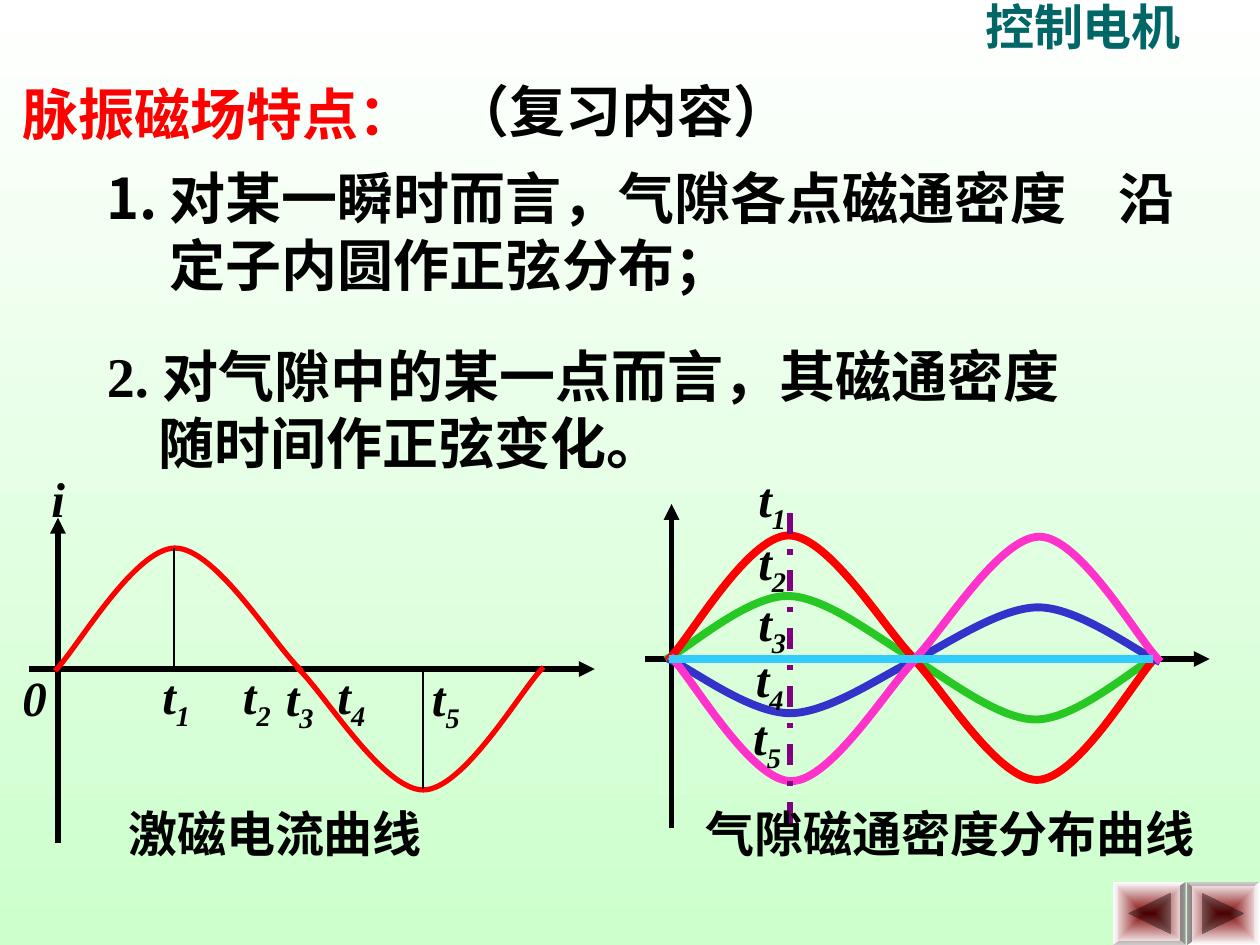
from lxml import etree
from pptx import Presentation
from pptx.dml.color import RGBColor
from pptx.enum.dml import MSO_LINE
from pptx.enum.shapes import MSO_CONNECTOR
from pptx.oxml import parse_xml
from pptx.oxml.ns import qn
from pptx.util import Inches, Pt

STRAIGHT = MSO_CONNECTOR.STRAIGHT
DASH_DOT = MSO_LINE.DASH_DOT
FONT = "Times New Roman"
BLACK, RED, TEAL = "000000", "FF0000", "006666"

HEADINGS = [
    ("控制电机", 7.72, -0.08, 1.92, 0.57, 28, TEAL),
    ("脉振磁场特点：", 0.08, 0.58, 4.05, 0.64, 32, RED),
    ("（复习内容）", 3.5, 0.56, 3.42, 0.64, 32, BLACK),
    ("激磁电流曲线", 0.92, 6.33, 2.83, 0.57, 28, BLACK),
    ("气隙磁通密度分布曲线", 5.5, 6.33, 4.25, 0.57, 28, BLACK),
]
FIRST_POINT = ["对某一瞬时而言，气隙各点磁通密度", "沿定子内圆作正弦分布；"]
SECOND_POINT = ["2. 对气隙中的某一点而言，其磁通密度", "随时间作正弦变化。"]

AXIS_NAMES = [("i", "", 0.31, 3.67, 0.61), ("0", "", 0.08, 5.25, 0.47)]
CURRENT_TIMES = [("t", "1", 1.19, 5.23, 0.58), ("t", "2", 1.83, 5.23, 0.58),
                 ("t", "3", 2.17, 5.25, 0.58), ("t", "4", 2.58, 5.23, 0.58),
                 ("t", "5", 3.33, 5.25, 0.58)]
FLUX_TIMES_BEHIND = [("t", "1", 5.92, 3.67, 0.58), ("t", "2", 5.92, 4.17, 0.5)]
FLUX_TIMES_FRONT = [("t", "3", 5.92, 4.65, 0.5), ("t", "4", 5.9, 5.1, 0.5),
                    ("t", "5", 5.88, 5.56, 0.5)]

AXES = [(0.25, 5.31, 4.72, 5.31), (0.46, 6.67, 0.46, 4.11),
        (5.14, 5.23, 9.6, 5.23), (5.33, 6.55, 5.33, 4)]
PEAK_LINES = [(3.36, 6.26, 3.36, 5.32), (1.38, 5.3, 1.38, 4.35)]
CURRENT_CURVE = (0.45, 5.31, 0.96, RED, 3)
FLUX_CURVES = [
    (5.31, 5.22, 0.49, "28C824", 4.5),
    (5.32, 5.22, 0.97, RED, 4.5),
    (5.33, 5.24, -0.42, "3333CC", 4.5),
    (5.34, 5.23, -0.97, "FF33CC", 4.5),
]
HALF_WAVE = [(0, 0), (0.16, 0.17), (0.62, 1), (0.94, 1), (1.26, 1), (1.72, 0.21), (1.93, 0)]
WAVE_SPAN = 3.85

BUTTONS = [(8.83, 0), (9.42, 180)]
OUTER = [(0, 0), (0.58, 0), (0.58, 0.5), (0, 0.5)]
INNER = [(0.04, 0.03), (0.54, 0.03), (0.54, 0.47), (0.04, 0.47)]
ARROW = [(0.13, 0.25), (0.46, 0.09), (0.46, 0.41)]
SIDE_SHADES = ["lightenLess", "darken", "darkenLess", "lighten"]


def rgb(value):
    return RGBColor.from_string(value)


def set_gradient(fill, first, last):
    fill.gradient()
    for stop, color in zip(fill.gradient_stops, (first, last)):
        stop.color.rgb = rgb(color)


def add_box(left, top, width, height):
    frame = slide.shapes.add_textbox(
        Inches(left), Inches(top), Inches(width), Inches(height)).text_frame
    frame.word_wrap = True
    return frame.paragraphs[0]


def add_run(paragraph, text, size, color=BLACK, italic=False, **attributes):
    run = paragraph.add_run()
    run.text = text
    font = run.font
    font.name, font.size, font.bold = FONT, Pt(size), True
    font.color.rgb = rgb(color)
    if italic:
        font.italic = True
    for name, value in attributes.items():
        run._r.get_or_add_rPr().set(name, value)


def set_hanging(paragraph, indent):
    properties = paragraph._p.get_or_add_pPr()
    properties.set("marL", str(Inches(indent)))
    properties.set("indent", str(-Inches(indent)))
    return properties


def add_labels(labels):
    for letter, index, left, top, width in labels:
        paragraph = add_box(left, top, width, 0.63 if index else 0.57)
        add_run(paragraph, letter, 28, italic=True)
        if index:
            add_run(paragraph, index, 28, italic=True, baseline="-25000")


def set_line(line, color, width, cap=None):
    line.color.rgb = rgb(color)
    line.width = Pt(width)
    if cap:
        line._get_or_add_ln().set("cap", cap)


def add_line(ends, color, width, arrow=False, dash=None):
    connector = slide.shapes.add_connector(STRAIGHT, *[Inches(v) for v in ends])
    set_line(connector.line, color, width, "sq" if arrow else None)
    if dash:
        connector.line.dash_style = dash
    if arrow:
        etree.SubElement(connector.line._get_or_add_ln(), qn("a:tailEnd"), type="triangle")
    etree.SubElement(connector._element.spPr, qn("a:effectLst"))


def add_outline(contours, left, top, close):
    contours = [[(Inches(left + x), Inches(top + y)) for x, y in points] for points in contours]
    builder = slide.shapes.build_freeform(*contours[0][0])
    for number, points in enumerate(contours):
        if number:
            builder.move_to(*points[0])
        builder.add_line_segments(points[1:], close=close)
    outline = builder.convert_to_shape()
    outline.shadow.inherit = False
    return outline, next(outline._element.iter(qn("a:path")))


def add_wave(left, axis, amplitude, color, width):
    for start, sign in ((left, 1), (left + WAVE_SPAN, -1)):
        points = [(sign * x, -sign * amplitude * y) for x, y in HALF_WAVE]
        half, path = add_outline([points], start, axis, False)
        segments = list(path)[1:]
        for first in range(0, len(segments), 3):
            curve = etree.SubElement(path, qn("a:cubicBezTo"))
            for segment in segments[first:first + 3]:
                curve.append(segment[0])
                path.remove(segment)
        half.fill.background()
        set_line(half.line, color, width, "sq")


def add_button(left, rotation):
    sides = [[OUTER[i], OUTER[(i + 1) % 4], INNER[(i + 1) % 4], INNER[i]] for i in range(4)]
    button, combined = add_outline([OUTER] + sides + [ARROW], left, 7, True)
    commands = list(combined)
    shades = iter(["norm"] + SIDE_SHADES + ["darken"])
    paths = combined.getparent()
    size = dict(combined.attrib)
    paths.remove(combined)
    for command in commands:
        if command.tag == qn("a:moveTo"):
            part = etree.SubElement(paths, qn("a:path"), size, fill=next(shades))
        part.append(command)
    button.rotation = rotation
    button.line.fill.background()
    set_gradient(button.fill, "800000", "FFFFFF")
    linear = button._element.spPr.find(qn("a:gradFill")).find(qn("a:lin"))
    linear.getparent().replace(linear, parse_xml(
        '<a:path xmlns:a="http://schemas.openxmlformats.org/drawingml/2006/main" path="rect">'
        '<a:fillToRect l="50000" t="50000" r="50000" b="50000"/></a:path>'))


prs = Presentation()
prs.slide_width, prs.slide_height = Inches(10), Inches(7.5)
slide = prs.slides.add_slide(prs.slide_layouts[6])
set_gradient(slide.background.fill, "FFFFFF", "CCFFCC")
slide.background.fill.gradient_angle = 270

for button in BUTTONS:
    add_button(*button)

first = add_box(0.75, 1.25, 9, 1.17)
numbering = set_hanging(first, 0.5)
bullet_color = etree.SubElement(numbering, qn("a:buClr"))
etree.SubElement(bullet_color, qn("a:srgbClr"), val=BLACK)
etree.SubElement(numbering, qn("a:buAutoNum"), type="arabicPeriod")
add_run(first, FIRST_POINT[0], 32)
add_run(first, " ", 32, spc="2200")
add_run(first, FIRST_POINT[1], 32)

second = add_box(0.75, 2.66, 9.08, 1.17)
set_hanging(second, 0.41)
add_run(second, SECOND_POINT[0], 32)
second.add_line_break()
add_run(second, SECOND_POINT[1], 32)

for ends in AXES:
    add_line(ends, BLACK, 3, arrow=True)
add_labels(AXIS_NAMES + CURRENT_TIMES + FLUX_TIMES_BEHIND)
for curve in [CURRENT_CURVE] + FLUX_CURVES:
    add_wave(*curve)
for ends in PEAK_LINES:
    add_line(ends, BLACK, 1)
add_line((6.27, 6.53, 6.27, 3.98), "800080", 3, dash=DASH_DOT)
add_line((5.31, 5.23, 9.15, 5.23), "33CCFF", 4.5)
add_labels(FLUX_TIMES_FRONT)

for text, left, top, width, height, size, color in HEADINGS:
    add_run(add_box(left, top, width, height), text, size, color)

prs.save("out.pptx")
